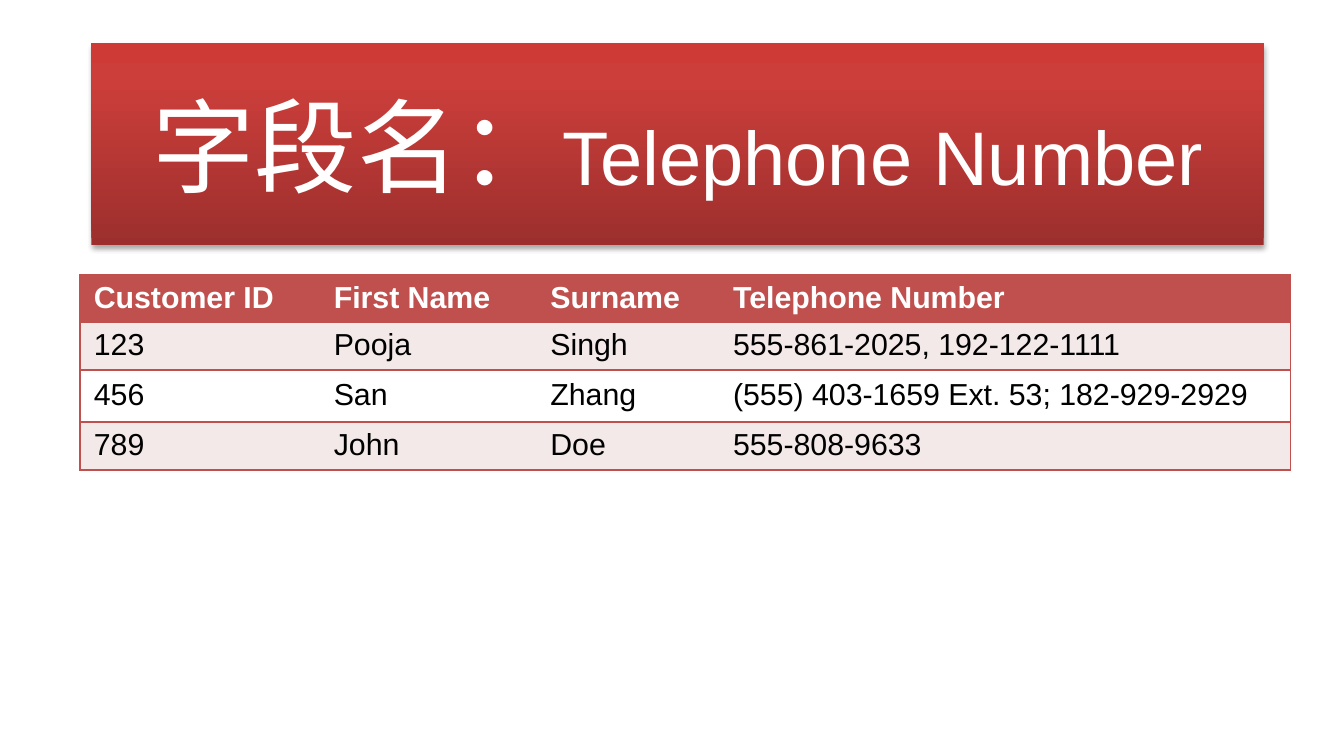
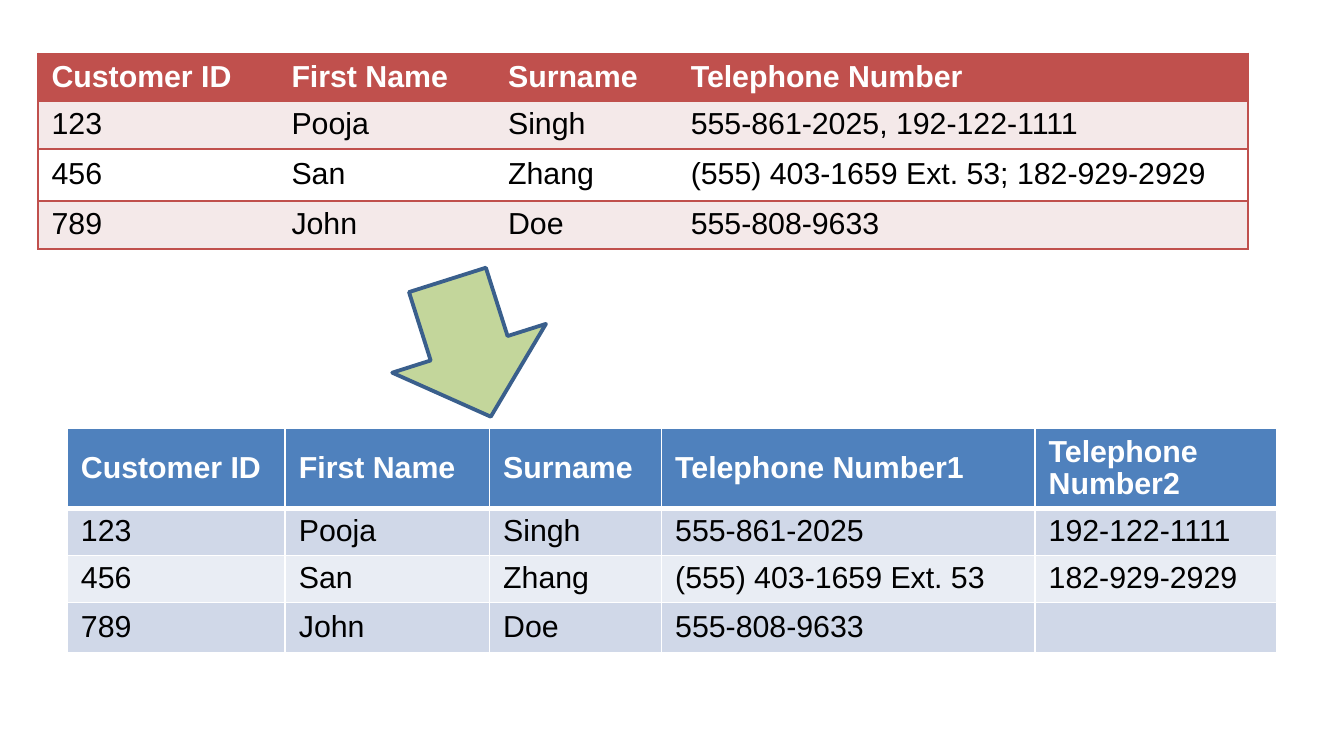
from dataclasses import dataclass

from lxml.etree import SubElement
from pptx import Presentation
from pptx.dml.color import RGBColor as RGB
from pptx.enum.shapes import MSO_SHAPE as Shape
from pptx.enum.text import MSO_ANCHOR as Anchor, MSO_AUTO_SIZE as Auto, PP_ALIGN as Align
from pptx.oxml import parse_xml as to_xml
from pptx.oxml.ns import nsdecls, qn
from pptx.util import Pt


@dataclass
class Theme:
    font: str = "Arial"
    big: int = 54
    mid: int = 40
    body: int = 16
    white: str = "FFFFFF"
    black: str = "000000"
    leaf: str = "C3D69B"
    navy: str = "3A5F8C"
    ramp: tuple = ((0, "9C2F2D"), (80, "CB3E3A"), (100, "CE3B37"))


theme = Theme()
RED = dict(head="C0504D", bands=("F4E9E9", "FFFFFF"), edge="C0504D", rule=1, inner=False)
BLUE = dict(head="4F81BD", bands=("D0D8E8", "E9EDF4"), edge="FFFFFF", rule=3, inner=True)
PLAIN = "{2D5ABB26-0587-4C30-8999-92F81FD0307C}"


def style(run, size, color, bold=False):
    look = dict(name=theme.font, size=Pt(size), bold=bold)
    for key, val in look.items():
        setattr(run.font, key, val)
    run.font.color.rgb = RGB.from_string(color)


def grid(slide, left, top, cols, highs, data, look):
    frame = slide.shapes.add_table(len(data), len(cols), Pt(left), Pt(top),
                                   Pt(sum(cols)), Pt(sum(highs)))
    table = frame.table
    table._tbl.tblPr.find(qn("a:tableStyleId")).text = PLAIN
    for col, wide in zip(table.columns, cols):
        col.width = Pt(wide)
    for r, (row, high) in enumerate(zip(data, highs)):
        table.rows[r].height = Pt(high)
        for c, text in enumerate(row):
            cell = table.cell(r, c)
            cell.vertical_anchor = Anchor.MIDDLE
            fill = look["bands"][(r - 1) % 2] if r else look["head"]
            cell.fill.solid()
            cell.fill.fore_color.rgb = RGB.from_string(fill)
            # Text
            para = cell.text_frame.paragraphs[0]
            para.line_spacing = 0.95
            if text:
                run = para.add_run()
                run.text = text
                style(run, theme.body, theme.black if r else theme.white, r == 0)
            else:
                SubElement(para._p, qn("a:endParaRPr"), sz=str(theme.body * 100))
            # Borders
            sides = dict(L=look["inner"] or c == 0,
                         R=look["inner"] or c == len(cols) - 1,
                         T=look["rule"] if r == 1 else 1,
                         B=look["rule"] if r == 0 else 1)
            lines = [(side, wide) for side, wide in sides.items() if wide]
            for spot, (side, wide) in enumerate(lines):
                cell._tc.tcPr.insert(spot, to_xml(
                    f'<a:ln{side} {nsdecls("a")} w="{Pt(int(wide))}"><a:solidFill>'
                    f'<a:srgbClr val="{look["edge"]}"/></a:solidFill></a:ln{side}>'))


# Shared table content
people = [("123", "Pooja", "Singh"), ("456", "San", "Zhang"), ("789", "John", "Doe")]
names = ("Customer ID", "First Name", "Surname")
phones = [("555-861-2025, 192-122-1111",),
          ("(555) 403-1659 Ext. 53; 182-929-2929",),
          ("555-808-9633",)]
split = [("555-861-2025", "192-122-1111"),
         ("(555) 403-1659 Ext. 53", "182-929-2929"),
         ("555-808-9633", "")]
joined = [names + ("Telephone Number",)] + [a + b for a, b in zip(people, phones)]
parted = [names + ("Telephone Number1", "Telephone Number2")]
parted += [a + b for a, b in zip(people, split)]
source = dict(cols=(126.5, 114.2, 96.3, 301), highs=(25.2, 25.2, 27.4, 25.2),
              data=joined, look=RED)

deck = Presentation()
deck.slide_width, deck.slide_height = Pt(708.5), Pt(396.75)

# Slide 1: title callout
first = deck.slides.add_slide(deck.slide_layouts[5])
title = first.shapes.title
box = dict(left=48.2, top=22.5, width=618, height=106.8)
for key, val in box.items():
    setattr(title, key, Pt(val))
stops = "".join(f'<a:gs pos="{at * 1000}"><a:srgbClr val="{color}"/></a:gs>'
                for at, color in theme.ramp)
parts = (
    '<a:prstGeom {} prst="wedgeRectCallout"><a:avLst>'
    '<a:gd name="adj1" fmla="val 20900"/><a:gd name="adj2" fmla="val 62700"/>'
    '</a:avLst></a:prstGeom>',
    '<a:gradFill {} rotWithShape="1"><a:gsLst>' + stops + '</a:gsLst>'
    '<a:lin ang="16200000" scaled="0"/></a:gradFill>',
    f'<a:effectLst {{}}><a:outerShdw blurRad="{Pt(3.1)}" dist="{Pt(1.8)}" dir="5400000"'
    f' rotWithShape="0"><a:srgbClr val="{theme.black}"><a:alpha val="35000"/>'
    '</a:srgbClr></a:outerShdw></a:effectLst>',
)
for part in parts:
    title.element.spPr.append(to_xml(part.format(nsdecls("a"))))
frame = title.text_frame
flow = dict(word_wrap=True, auto_size=Auto.NONE, vertical_anchor=Anchor.MIDDLE)
for key, val in flow.items():
    setattr(frame, key, val)
para = frame.paragraphs[0]
para.alignment = Align.CENTER
for text, size in (("字段名：", theme.big), ("Telephone Number", theme.mid)):
    run = para.add_run()
    run.text = text
    style(run, size, theme.white)

# Slide 1: table
grid(first, 42.3, 144.6, **source)

# Slide 2: table before the split
second = deck.slides.add_slide(deck.slide_layouts[6])
grid(second, 20, 28.2, **source)

# Slide 2: arrow
arrow = second.shapes.add_shape(Shape.RIGHT_ARROW, Pt(209.5), Pt(141), Pt(75.6), Pt(85))
arrow.rotation = 72.4
arrow.shadow.inherit = False
arrow.fill.solid()
arrow.fill.fore_color.rgb = RGB.from_string(theme.leaf)
arrow.line.color.rgb = RGB.from_string(theme.navy)
arrow.line.width = Pt(2)

# Slide 2: table after the split
grid(second, 35.5, 225.8, (114.9, 107.7, 90.7, 196.9, 127.7),
     (42.2, 24.7, 24.7, 24.7), parted, BLUE)

deck.save("out.pptx")
